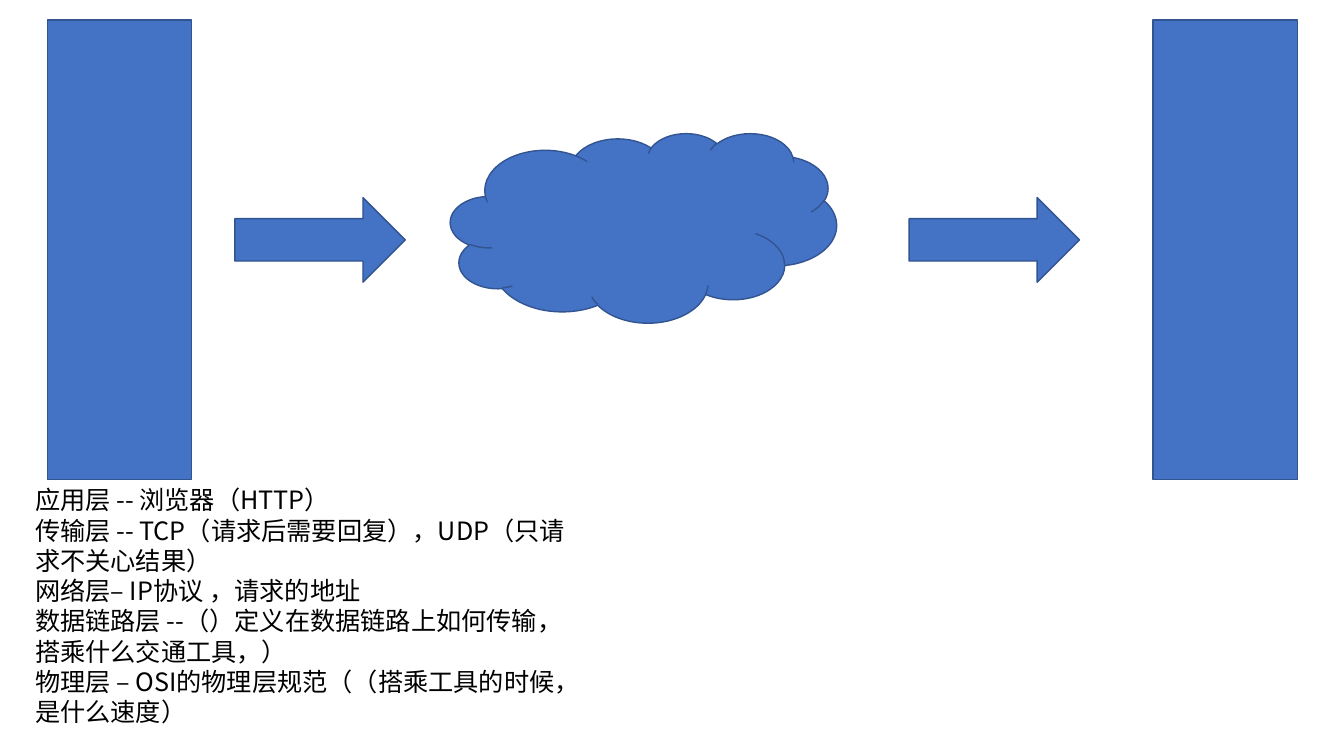
from dataclasses import dataclass

from lxml import etree
from pptx import Presentation
from pptx.dml.color import RGBColor
from pptx.enum import shapes, text
from pptx.oxml import ns
from pptx.util import Pt

FONT = "Noto Sans CJK SC"
FILL, OUTLINE, INK = "4472C4", "325491", "000000"


@dataclass(frozen=True)
class Part:
    kind: shapes.MSO_SHAPE
    left: float
    top: float
    width: float
    height: float


def host(left: float) -> Part:
    return Part(shapes.MSO_SHAPE.RECTANGLE, left, 14.4, 103, 328.3)


def request(left: float) -> Part:
    return Part(shapes.MSO_SHAPE.RIGHT_ARROW, left, 141.1, 121.7, 60.5)


NETWORK = [
    host(33.8),
    host(823.7),
    Part(shapes.MSO_SHAPE.CLOUD, 321.8, 95, 275.8, 135.4),
    request(167.8),
    request(649.4),
]

LAYERS = [
    "应用层 -- 浏览器（HTTP）",
    "传输层 -- TCP（请求后需要回复），UDP（只请求不关心结果）",
    "网络层– IP协议 ，请求的地址",
    "数据链路层 --（）定义在数据链路上如何传输，搭乘什么交通工具，）",
    "物理层 – OSI的物理层规范（（搭乘工具的时候，是什么速度）",
]


def colour(value: str) -> RGBColor:
    return RGBColor.from_string(value)


def draw_part(slide, part: Part) -> None:
    shape = slide.shapes.add_shape(
        part.kind, Pt(part.left), Pt(part.top), Pt(part.width), Pt(part.height)
    )
    shape.shadow.inherit = False
    shape.fill.solid()
    shape.fill.fore_color.rgb = colour(FILL)
    shape.line.color.rgb = colour(OUTLINE)
    shape.line.width = Pt(1)


def add_run(paragraph, wording: str) -> None:
    run = paragraph.add_run()
    run.text = wording
    run.font.size = Pt(18)
    run.font.name = FONT
    run.font.color.rgb = colour(INK)
    east_asian = etree.SubElement(run.font._element, ns.qn("a:ea"))
    east_asian.set("typeface", FONT)


def draw_layers(slide) -> None:
    notes = slide.shapes.add_textbox(Pt(18), Pt(342.7), Pt(393.8), Pt(203.8))
    frame = notes.text_frame
    frame.word_wrap = True
    frame.auto_size = text.MSO_AUTO_SIZE.SHAPE_TO_FIT_TEXT
    for index, layer in enumerate(LAYERS):
        paragraph = frame.add_paragraph() if index else frame.paragraphs[0]
        add_run(paragraph, layer)


def main() -> None:
    deck = Presentation()
    deck.slide_width, deck.slide_height = Pt(960), Pt(540)
    slide = deck.slides.add_slide(deck.slide_layouts.get_by_name("Blank"))
    for part in NETWORK:
        draw_part(slide, part)
    draw_layers(slide)
    deck.save("out.pptx")


if __name__ == "__main__":
    main()
